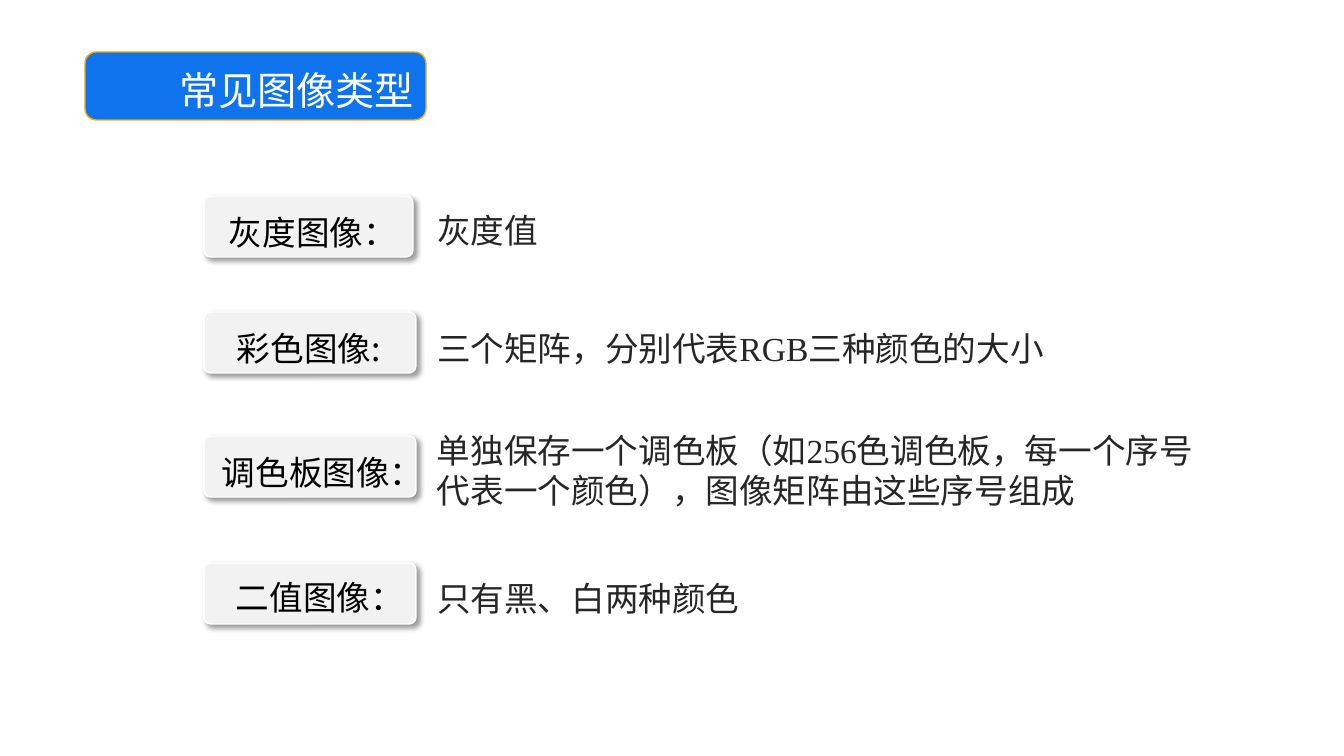
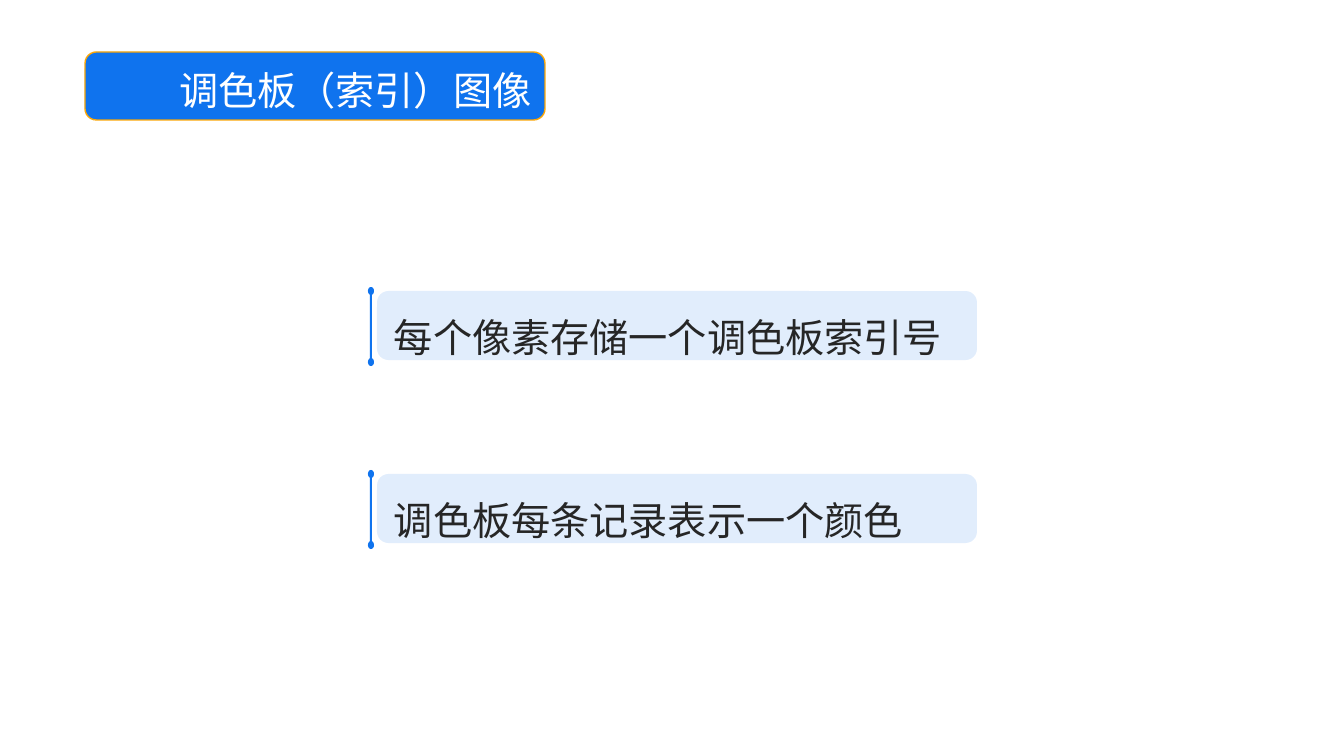
from math import asin, cos, pi, sin

from lxml import etree
from pptx import Presentation
from pptx.dml.color import RGBColor
from pptx.enum.shapes import MSO_SHAPE
from pptx.enum.text import MSO_ANCHOR, MSO_AUTO_SIZE, PP_ALIGN
from pptx.oxml.ns import qn
from pptx.util import Pt

EMU_PER_PX = 914400 / 100.8
ROUNDED = MSO_SHAPE.ROUNDED_RECTANGLE
TITLE_ONLY = 5
LINE_HEIGHT = 1.19
SANS, SERIF = "Noto Sans CJK SC", "Times New Roman"
COLORS = {
    "blue": "0F73EE", "gold": "FBA707", "badge": "F2F2F2",
    "white": "FFFFFF", "black": "000000", "ink": "262626",
}
FRAME_FORMAT = {
    "auto_size": MSO_AUTO_SIZE.NONE, "vertical_anchor": MSO_ANCHOR.TOP,
    "margin_left": 0, "margin_top": 0, "margin_right": 0, "margin_bottom": 0,
}


def px(length):
    return round(length * EMU_PER_PX)


def rgb(name):
    return RGBColor.from_string(COLORS[name])


def set_all(target, values):
    for name, value in values.items():
        setattr(target, name, value)


def add_xml(parent, tag, **attributes):
    texts = {name: str(value) for name, value in attributes.items()}
    return etree.SubElement(parent, qn(tag), texts)


def write_text(shape, text, size, color, face=SANS, wrap=False):
    """Fill a shape with one left-aligned paragraph without insets."""
    frame = shape.text_frame
    set_all(frame, {**FRAME_FORMAT, "word_wrap": wrap})
    para = frame.paragraphs[0]
    set_all(para, {"alignment": PP_ALIGN.LEFT, "space_before": Pt(0),
                   "line_spacing": Pt(size * LINE_HEIGHT)})
    span = para.add_run()
    span.text = text
    set_all(span.font, {"size": Pt(size), "name": face})
    span.font.color.rgb = rgb(color)
    add_xml(span.font._element, "a:ea", typeface=SANS)


def add_text(page, left, top, width, height, text, size, color, face=SANS, wrap=False):
    box = page.shapes.add_textbox(px(left), px(top), px(width), px(height))
    write_text(box, text, size, color, face, wrap)


def style_shape(shape, fill, line=None):
    shape.shadow.inherit = False
    shape.fill.solid()
    shape.fill.fore_color.rgb = rgb(fill)
    if line:
        shape.line.color.rgb = rgb(line)
        shape.line.width = Pt(1)
    else:
        shape.line.fill.background()


def add_panel(page, left, top, width, height, fill, line=None):
    panel = page.shapes.add_shape(ROUNDED, px(left), px(top), px(width), px(height))
    style_shape(panel, fill, line)
    return panel


def add_titled_page(deck, title_text, banner_width, face):
    """Blue banner with the slide title on it."""
    page = deck.slides.add_slide(deck.slide_layouts[TITLE_ONLY])
    left, top = 85, 52
    add_panel(page, left, top, banner_width, 68, "blue", "gold")
    title = page.shapes.title
    set_all(title, {"left": px(left + 94), "top": px(top + 15),
                    "width": px(banner_width - 94), "height": px(47)})
    write_text(title, title_text, 28, "white", face)
    page.shapes.element.append(title.element)  # bring above the banner
    return page


def add_badge(page, left, top, width):
    """Grey label plate with a soft shadow."""
    badge = add_panel(page, left, top, width, 61, "badge", "white")
    badge.adjustments[0] = 0.11
    effects = badge.element.spPr.find(qn("a:effectLst"))
    shadow = add_xml(effects, "a:outerShdw", blurRad=Pt(4), dist=Pt(3),
                     dir=45 * 60000, algn="tl", rotWithShape=0)
    color = add_xml(shadow, "a:srgbClr", val=COLORS["black"])
    add_xml(color, "a:alpha", val=40000)


def add_type_row(page, left, top, badge_width, label, value):
    """Badge with its label, and the explanation to its right."""
    add_badge(page, left, top, badge_width)
    text, indent, drop, face = label
    add_text(page, left + indent, top + drop, badge_width - indent, 40,
             text, 24, "black", face)
    text, drop, width, height, face = value
    add_text(page, left + 233, top + drop, width, height, text, 24, "ink", face, True)


def add_pin(page, left, top):
    """Thin upright stem with a round knob at both ends."""
    radius_x, radius_y, height, steps = 3, 4, 79, 24
    start = asin(1 / radius_x)
    angles = [start + (2 * pi - 2 * start) * step / steps for step in range(steps + 1)]
    upper = [(radius_x * (1 + sin(a)), radius_y * (1 + cos(a))) for a in angles]
    lower = [(2 * radius_x - x, height - y) for x, y in upper]
    points = [(px(left + x), px(top + y)) for x, y in upper + lower]
    outline = page.shapes.build_freeform(*points[0])
    outline.add_line_segments(points[1:])
    style_shape(outline.convert_to_shape(), "blue")


def add_fact(page, left, top, text):
    """Pale blue panel with a pin on its left."""
    panel = add_panel(page, left, top, 600, 69, "blue")
    color = panel.element.spPr.find(qn("a:solidFill")).find(qn("a:srgbClr"))
    add_xml(color, "a:alpha", val=12000)
    add_pin(page, left - 9, top - 4)
    add_text(page, left + 17, top + 23, 575, 47, text, 28, "ink")


def build_types_page(deck):
    page = add_titled_page(deck, "常见图像类型", 341, SANS)
    # top, badge width, (label, indent, drop, face), (value, drop, width, height, face)
    rows = [
        (196, 209, ("灰度图像：", 25, 16, SANS), ("灰度值", 14, 610, 40, SANS)),
        (312, 212, ("彩色图像:", 33, 16, SANS),
         ("三个矩阵，分别代表RGB三种颜色的大小", 16, 610, 80, SERIF)),
        (436, 212, ("调色板图像：", 18, 16, SERIF),
         ("单独保存一个调色板（如256色调色板，每一个序号代表一个颜色），图像矩阵由这些序号组成",
          -6, 766, 80, SERIF)),
        (563, 212, ("二值图像：", 32, 14, SERIF),
         ("只有黑、白两种颜色", 15, 610, 40, SANS)),
    ]
    for row in rows:
        add_type_row(page, 204, *row)


def build_palette_page(deck):
    page = add_titled_page(deck, "调色板（索引）图像", 460, SERIF)
    facts = ["每个像素存储一个调色板索引号", "调色板每条记录表示一个颜色"]
    for index, fact in enumerate(facts):
        add_fact(page, 377, 291 + 183 * index, fact)


def main():
    deck = Presentation()
    set_all(deck, {"slide_width": px(1344), "slide_height": px(756)})
    build_types_page(deck)
    build_palette_page(deck)
    deck.save("out.pptx")


if __name__ == "__main__":
    main()
